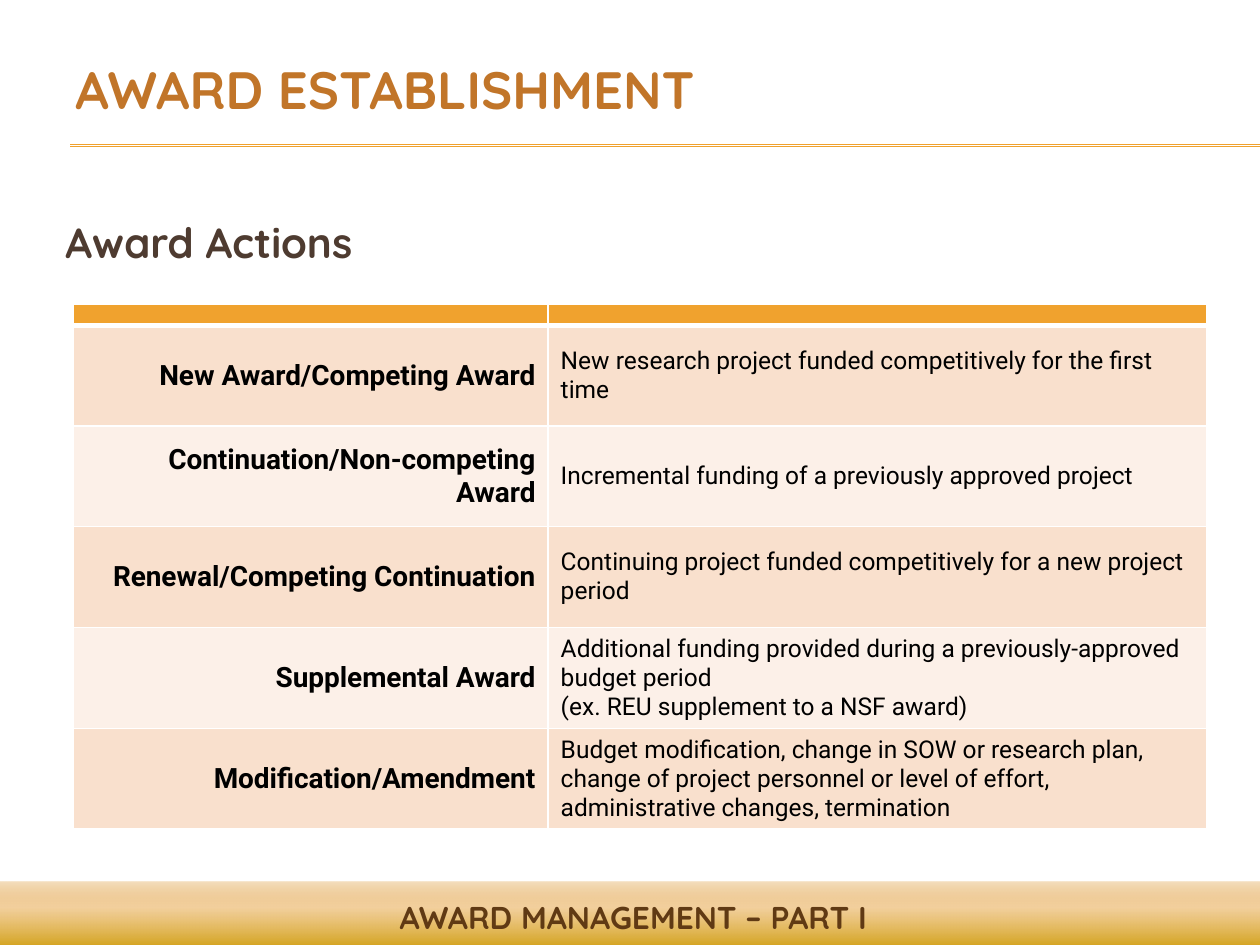
from dataclasses import dataclass

from lxml import etree
from pptx import Presentation
from pptx.dml.color import RGBColor
from pptx.enum.shapes import MSO_CONNECTOR, MSO_SHAPE
from pptx.enum.text import MSO_ANCHOR, PP_ALIGN
from pptx.oxml import parse_xml
from pptx.oxml.ns import nsdecls, qn
from pptx.util import Cm, Pt

STRAIGHT = MSO_CONNECTOR.STRAIGHT
RECTANGLE = MSO_SHAPE.RECTANGLE
TOP, MIDDLE, BOTTOM = MSO_ANCHOR.TOP, MSO_ANCHOR.MIDDLE, MSO_ANCHOR.BOTTOM
LEFT, CENTER, RIGHT = PP_ALIGN.LEFT, PP_ALIGN.CENTER, PP_ALIGN.RIGHT


@dataclass(frozen=True)
class Theme:
    heading_font: str = "Quicksand"
    body_font: str = "Roboto"
    title: str = "C17529"
    subtitle: str = "4E3B30"
    footer: str = "603A14"
    text: str = "000000"
    accent: str = "F0A22E"
    border: str = "FFFFFF"
    bands: tuple = ("F9E0CD", "FCF0E8")
    footer_stops: tuple = ((0, "CC9900", 100), (65, "EFC17E", 75), (100, "D68000", 25))
    title_size: int = 30
    subtitle_size: int = 24
    footer_size: int = 18
    label_size: int = 16
    detail_size: int = 14


ACTIONS = [
    ("New Award/Competing Award",
     ["New research project funded competitively for the first time"]),
    ("Continuation/Non-competing Award",
     ["Incremental funding of a previously approved project"]),
    ("Renewal/Competing Continuation",
     ["Continuing project funded competitively for a new project period"]),
    ("Supplemental Award",
     ["Additional funding provided during a previously-approved budget period",
      "(ex. REU supplement to a NSF award)"]),
    ("Modification/Amendment",
     ["Budget modification, change in SOW or research plan, change of project "
      "personnel or level of effort, administrative changes, termination"]),
]


class SlideBuilder:
    """Draw themed elements on the current slide."""

    def __init__(self, page, theme):
        self.page = page
        self.theme = theme

    def add_lines(self, frame, lines, font, size, color, bold, align=LEFT, before=0):
        for index, line in enumerate(lines):
            para = frame.add_paragraph() if index else frame.paragraphs[0]
            para.alignment = align
            para.space_before = Pt(before)
            span = para.add_run()
            span.text = line
            span.font.name = font
            span.font.size = Pt(size)
            span.font.bold = bold
            span.font.color.rgb = RGBColor.from_string(color)

    def heading(self, area, text, size, color, anchor=TOP, align=LEFT, before=0):
        box = self.page.shapes.add_textbox(*map(Cm, area))
        box.text_frame.word_wrap = True
        box.text_frame.vertical_anchor = anchor
        self.add_lines(box.text_frame, [text], self.theme.heading_font, size, color,
                       True, align, before)

    def rule(self, left, right, top):
        line = self.page.shapes.add_connector(STRAIGHT, Cm(left), Cm(top), Cm(right), Cm(top))
        line.line.color.rgb = RGBColor.from_string(self.theme.accent)
        line.line.width = Pt(0.75)
        etree.SubElement(line._element.spPr, qn("a:effectLst"))

    def gradient_bar(self, area):
        bar = self.page.shapes.add_shape(RECTANGLE, *map(Cm, area))
        bar.shadow.inherit = False
        bar.line.fill.background()
        stops = "".join(
            f'<a:gs pos="{place * 1000}"><a:srgbClr val="{color}">'
            f'<a:alpha val="{opacity * 1000}"/></a:srgbClr></a:gs>'
            for place, color, opacity in self.theme.footer_stops)
        properties = bar._element.spPr
        properties.find(qn("a:prstGeom")).addnext(parse_xml(
            f'<a:gradFill {nsdecls("a")} rotWithShape="1"><a:gsLst>{stops}</a:gsLst>'
            '<a:lin ang="16200000" scaled="0"/></a:gradFill>'))

    def style_cell(self, cell, color, bottom=1):
        cell.vertical_anchor = MIDDLE
        properties = cell._tc.get_or_add_tcPr()
        for side, width in (("L", 1), ("R", 1), ("T", 1), ("B", bottom)):
            properties.append(parse_xml(
                f'<a:ln{side} {nsdecls("a")} w="{Pt(width)}"><a:solidFill>'
                f'<a:srgbClr val="{self.theme.border}"/></a:solidFill></a:ln{side}>'))
        cell.fill.solid()
        cell.fill.fore_color.rgb = RGBColor.from_string(color)

    def action_table(self, left, top, widths, header_height, row_height, actions):
        theme = self.theme
        heights = [header_height] + [row_height] * len(actions)
        table = self.page.shapes.add_table(
            len(heights), len(widths), Cm(left), Cm(top),
            Cm(sum(widths)), Cm(sum(heights))).table
        for column, width in zip(table.columns, widths):
            column.width = Cm(width)
        for row, height in zip(table.rows, heights):
            row.height = Cm(height)
        for cell in table.rows[0].cells:
            cell.margin_top = cell.margin_bottom = 0
            end = etree.SubElement(cell.text_frame.paragraphs[0]._p, qn("a:endParaRPr"))
            end.set("sz", "400")
            self.style_cell(cell, theme.accent, bottom=3)
        for index, (label, details) in enumerate(actions):
            label_cell, detail_cell = table.rows[index + 1].cells
            for cell in (label_cell, detail_cell):
                self.style_cell(cell, theme.bands[index % 2])
            self.add_lines(label_cell.text_frame, [label], theme.body_font,
                           theme.label_size, theme.text, True, RIGHT)
            self.add_lines(detail_cell.text_frame, details, theme.body_font,
                           theme.detail_size, theme.text, False)


def main():
    theme = Theme()
    deck = Presentation()
    deck.slide_width, deck.slide_height = Cm(25.4), Cm(19.05)
    builder = SlideBuilder(deck.slides.add_slide(deck.slide_layouts[6]), theme)
    for top in (2.92, 2.95):
        builder.rule(1.42, 25.4, top)
    builder.gradient_bar((-0.03, 17.78, 25.48, 1.47))
    builder.heading((0.38, 17.98, 24.77, 1.02), "AWARD MANAGEMENT – PART I",
                    theme.footer_size, theme.footer, align=CENTER)
    builder.heading((1.27, 0.76, 22.43, 1.78), "AWARD ESTABLISHMENT",
                    theme.title_size, theme.title, anchor=BOTTOM)
    builder.heading((1.07, 4.24, 23.06, 13.54), "Award Actions",
                    theme.subtitle_size, theme.subtitle, before=18)
    builder.action_table(1.48, 6.14, (9.57, 13.28), 0.42, 2.03, ACTIONS)
    deck.save("out.pptx")


if __name__ == "__main__":
    main()
